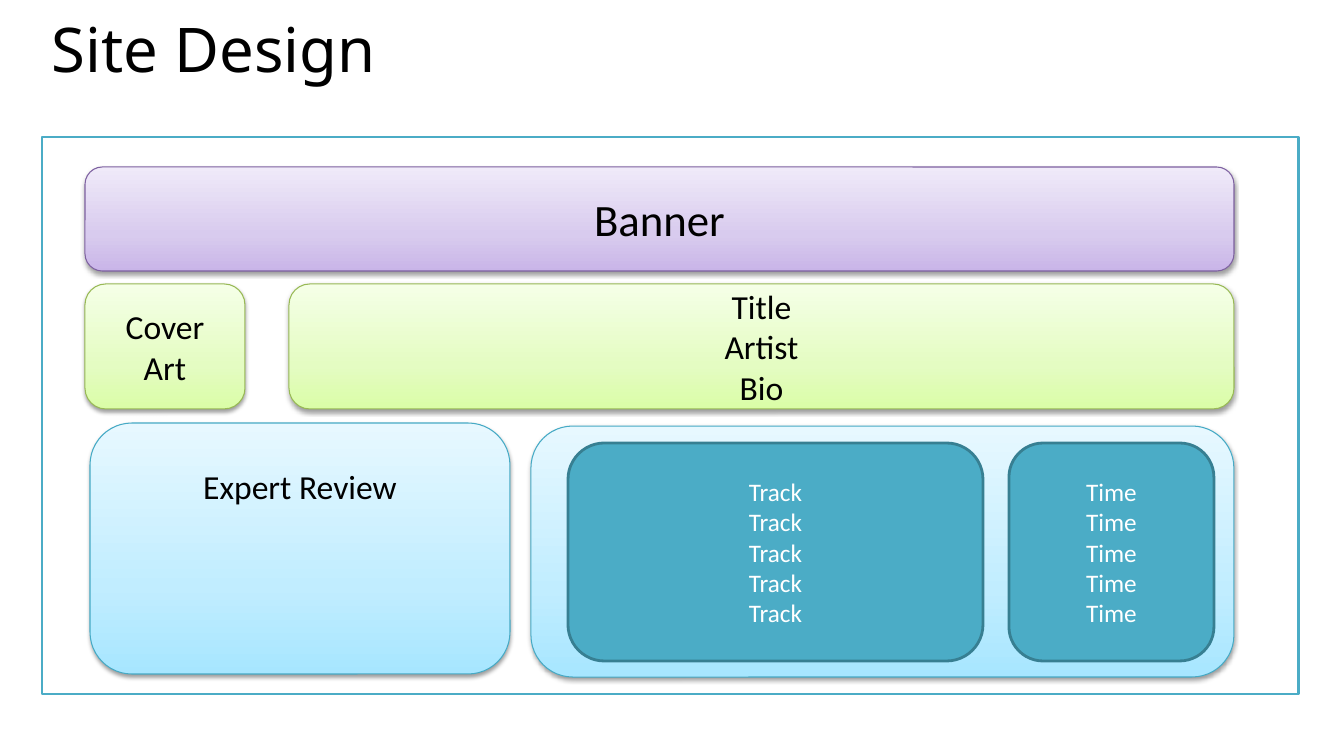
from copy import deepcopy
from dataclasses import dataclass

from lxml.etree import SubElement
from pptx import Presentation
from pptx.dml.color import RGBColor
from pptx.enum.shapes import MSO_SHAPE
from pptx.enum.text import MSO_ANCHOR, PP_ALIGN
from pptx.oxml.ns import qn
from pptx.util import Emu, Pt

EMU_PER_PIXEL = 914400 / 100.8


@dataclass(frozen=True)
class Theme:
    heading_font: str = "Noto Sans"
    body_font: str = "Calibri"
    black: str = "000000"
    white: str = "FFFFFF"
    teal: str = "4BACC6"
    dark_teal: str = "377F92"
    purple_edge: str = "7D60A0"
    green_edge: str = "98B955"
    blue_edge: str = "46AAC5"
    purple: tuple = ("C9B5E8", "D8CBEE", "F0EAF9")
    green: tuple = ("DAFDA7", "E4FCC2", "F5FFE7")
    blue: tuple = ("A7E6FF", "C1EDFF", "E7F8FF")
    stops: tuple = (0, 0.35, 1)
    title_size: int = 44
    banner_size: int = 32
    panel_size: int = 24
    list_size: int = 18
    thin: float = 0.75
    thick: float = 2


THEME = Theme()


def pixels(value):
    return Emu(round(value * EMU_PER_PIXEL))


def write(shape, text, size, color, font=THEME.body_font, align=PP_ALIGN.CENTER):
    frame = shape.text_frame
    frame.word_wrap = True
    frame.text = text
    for para in frame.paragraphs:
        para.alignment = align
        for span in para.runs:
            span.font.name = font
            span.font.size = Pt(size)
            span.font.color.rgb = RGBColor.from_string(color)


def add_title(page, box, text):
    title = page.shapes.add_textbox(*map(pixels, box))
    write(title, text, THEME.title_size, THEME.black, THEME.heading_font, PP_ALIGN.LEFT)
    title.text_frame.paragraphs[0].line_spacing = 0.8


def add_box(page, kind, box, edge, width):
    shape = page.shapes.add_shape(kind, *map(pixels, box))
    shape.shadow.inherit = False
    shape.line.color.rgb = RGBColor.from_string(edge)
    shape.line.width = Pt(width)
    shape.text_frame.vertical_anchor = MSO_ANCHOR.MIDDLE
    return shape


def add_solid(page, kind, box, color, edge):
    shape = add_box(page, kind, box, edge, THEME.thick)
    shape.fill.solid()
    shape.fill.fore_color.rgb = RGBColor.from_string(color)
    return shape


def fill_gradient(shape, colors):
    shape.fill.gradient()
    shape.fill.gradient_angle = 90
    stop_list = shape._element.spPr.find(".//" + qn("a:gsLst"))
    stop_list.append(deepcopy(stop_list[-1]))
    for stop, position, color in zip(shape.fill.gradient_stops, THEME.stops, colors):
        stop.position = position
        stop.color.rgb = RGBColor.from_string(color)


def add_shadow(shape):
    effects = shape._element.spPr.find(qn("a:effectLst"))
    shadow = SubElement(effects, qn("a:outerShdw"), blurRad="40000", dist="20000",
                        dir="5400000", rotWithShape="0")
    color = SubElement(shadow, qn("a:srgbClr"), val=THEME.black)
    SubElement(color, qn("a:alpha"), val="38000")


def add_panel(page, box, colors, edge, text="", size=THEME.panel_size):
    panel = add_box(page, MSO_SHAPE.ROUNDED_RECTANGLE, box, edge, THEME.thin)
    fill_gradient(panel, colors)
    add_shadow(panel)
    write(panel, text, size, THEME.black)
    return panel


def add_list(page, box, word):
    card = add_solid(page, MSO_SHAPE.ROUNDED_RECTANGLE, box, THEME.teal, THEME.dark_teal)
    write(card, "\n".join([word] * 5), THEME.list_size, THEME.white)


def main():
    deck = Presentation()
    deck.slide_width, deck.slide_height = pixels(1344), pixels(756)
    page = deck.slides.add_slide(deck.slide_layouts[6])

    add_title(page, (42, 20, 1270, 117), "Site Design")
    add_solid(page, MSO_SHAPE.RECTANGLE, (42, 137, 1257, 557), THEME.white, THEME.teal)

    add_panel(page, (85, 167, 1149, 104), THEME.purple, THEME.purple_edge,
              "Banner", THEME.banner_size)
    add_panel(page, (85, 284, 160, 125), THEME.green, THEME.green_edge, "Cover Art")
    add_panel(page, (289, 284, 945, 125), THEME.green, THEME.green_edge,
              "Title\nArtist\nBio")

    add_panel(page, (531, 426, 703, 251), THEME.blue, THEME.blue_edge)
    add_list(page, (568, 443, 415, 218), "Track")
    add_list(page, (1009, 443, 205, 218), "Time")

    review = add_panel(page, (90, 423, 420, 251), THEME.blue, THEME.blue_edge,
                       "Expert Review")
    review.text_frame.vertical_anchor = MSO_ANCHOR.TOP
    review.text_frame.margin_top = pixels(31)

    deck.save("out.pptx")


main()
